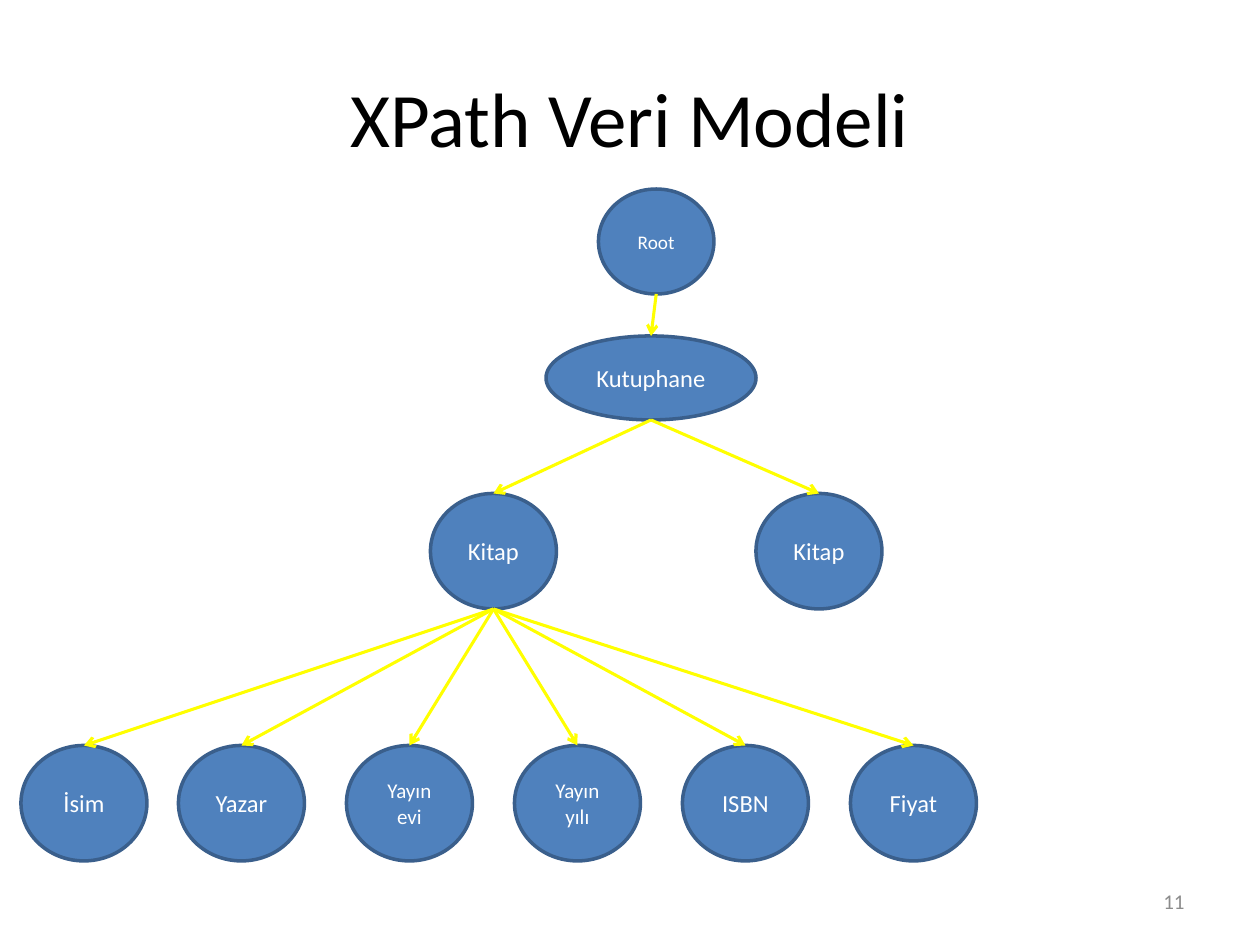
"""Build the XPath data model slide: a tree of ellipses joined by arrows."""
from dataclasses import dataclass

from lxml.etree import SubElement
from pptx import Presentation
from pptx.dml.color import RGBColor
from pptx.enum.shapes import MSO_CONNECTOR as Connector, MSO_SHAPE as Shape
from pptx.enum.text import MSO_ANCHOR as Anchor, PP_ALIGN as Align
from pptx.oxml.ns import qn
from pptx.slide import Slide
from pptx.text.text import TextFrame
from pptx.util import Pt

EMU_PER_PX = 7620
FONT = "Calibri"
COLORS = {
    "title": "000000",
    "node": "4F81BD",
    "outline": "3A5F8C",
    "label": "FFFFFF",
    "arrow": "FFFF00",
    "number": "8C8C8C",
}


@dataclass(frozen=True)
class Node:
    """An ellipse of the tree, in px."""
    label: str
    left: int
    top: int
    width: int = 120
    height: int = 110
    size: int = 14

    @property
    def head(self) -> tuple[int, int]:
        """Return the middle of the top edge."""
        return self.left + self.width // 2, self.top

    @property
    def foot(self) -> tuple[int, int]:
        """Return the middle of the bottom edge."""
        return self.left + self.width // 2, self.top + self.height


def px(*lengths: int) -> list[int]:
    """Turn px into EMU."""
    return [length * EMU_PER_PX for length in lengths]


def color(name: str) -> RGBColor:
    """Look up a named colour."""
    return RGBColor.from_string(COLORS[name])


def write(frame: TextFrame, text: str, size: int, ink: str, align: Align = Align.CENTER) -> None:
    """Fill a text frame and format all its runs."""
    frame.text = text
    frame.word_wrap = True
    frame.vertical_anchor = Anchor.MIDDLE
    for para in frame.paragraphs:
        para.alignment = align
        for span in para.runs:
            span.font.name = FONT
            span.font.size = Pt(size)
            span.font.color.rgb = color(ink)


def draw_node(page: Slide, node: Node) -> None:
    """Draw one labelled ellipse."""
    box = page.shapes.add_shape(Shape.OVAL, *px(node.left, node.top, node.width, node.height))
    box.shadow.inherit = False
    box.fill.solid()
    box.fill.fore_color.rgb = color("node")
    box.line.color.rgb = color("outline")
    box.line.width = Pt(2)
    write(box.text_frame, node.label, node.size, "label")


def draw_arrow(page: Slide, parent: Node, child: Node) -> None:
    """Draw an arrow from a parent's foot to a child's head."""
    arrow = page.shapes.add_connector(Connector.STRAIGHT, *px(*parent.foot, *child.head))
    arrow.line.color.rgb = color("arrow")
    arrow.line.width = Pt(1.75)
    SubElement(arrow.line._get_or_add_ln(), qn("a:tailEnd"), type="arrow")
    SubElement(arrow._element.spPr, qn("a:effectLst"))


def main() -> None:
    """Lay out the tree and save the deck."""
    deck = Presentation()
    deck.slide_width, deck.slide_height = px(1200, 900)
    page = deck.slides.add_slide(deck.slide_layouts[6])

    title = page.shapes.add_textbox(*px(60, 36, 1080, 150))
    write(title.text_frame, "XPath Veri Modeli", 44, "title")

    root = Node("Root", 570, 180, 110, 100, 11)
    library = Node("Kutuphane", 520, 320, 200, 80)
    books = [Node("Kitap", left, 470) for left in (410, 720)]
    later_fields = [("Yazar", 14), ("Yayın\nevi", 12), ("Yayın\nyılı", 12), ("ISBN", 14), ("Fiyat", 14)]
    fields = [Node("İsim", 20, 710)] + [
        Node(label, 170 + 160 * column, 710, size=size)
        for column, (label, size) in enumerate(later_fields)
    ]

    for node in (root, library, *books, *fields):
        draw_node(page, node)
    for parent, children in ((root, [library]), (library, books), (books[0], fields)):
        for child in children:
            draw_arrow(page, parent, child)

    number = page.shapes.add_textbox(*px(860, 834, 280, 48))
    write(number.text_frame, "11", 12, "number", Align.RIGHT)
    deck.save("out.pptx")


if __name__ == "__main__":
    main()
